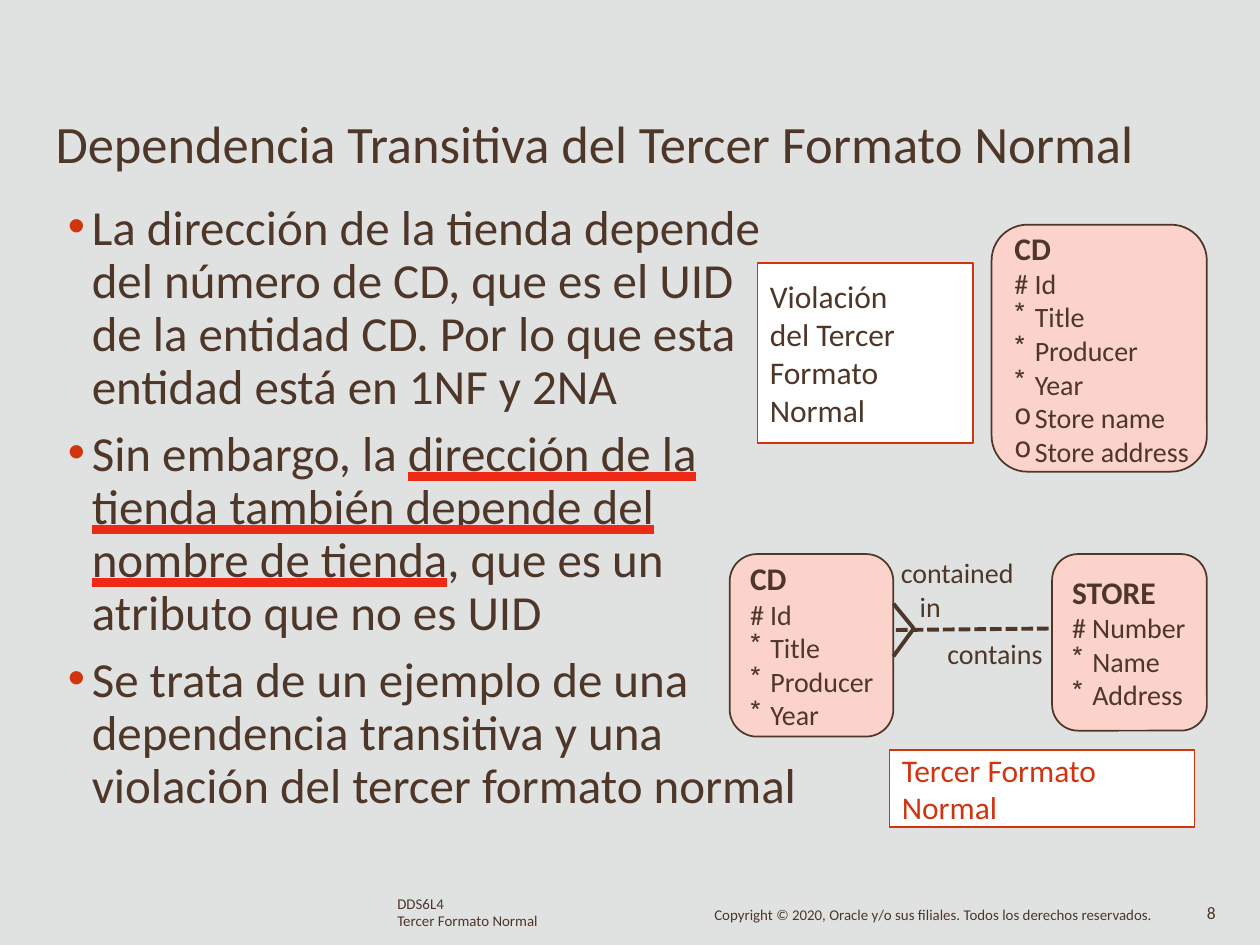
from lxml.etree import SubElement
from pptx import Presentation
from pptx.dml.color import RGBColor
from pptx.enum.dml import MSO_LINE
from pptx.enum.shapes import MSO_CONNECTOR, MSO_SHAPE
from pptx.enum.text import MSO_ANCHOR, MSO_AUTO_SIZE, MSO_UNDERLINE, PP_ALIGN
from pptx.oxml.ns import qn
from pptx.util import Cm, Pt

BROWN = RGBColor(0x4E, 0x36, 0x29)
RED = RGBColor(0xD1, 0x35, 0x0F)
UNDERLINE_RED = RGBColor(0xEE, 0x2A, 0x17)
PINK = RGBColor(0xFB, 0xD3, 0xCA)
WHITE = RGBColor(0xFF, 0xFF, 0xFF)
GREY = RGBColor(0xE0, 0xE2, 0xE1)
FONT = "Calibri"

TITLE = "Dependencia Transitiva del Tercer Formato Normal"
POINTS = [
    ["La dirección de la tienda depende", "del número de CD, que es el UID",
     "de la entidad CD. Por lo que esta", "entidad está en 1NF y 2NA"],
    ["Sin embargo, la _dirección de la_", "_tienda también depende del_",
     "_nombre de tienda_, que es un", "atributo que no es UID"],
    ["Se trata de un ejemplo de una", "dependencia transitiva y una",
     "violación del tercer formato normal"],
]
CD_FIELDS = [("#", "Id"), ("*", "Title"), ("*", "Producer"), ("*", "Year")]
STORE_FIELDS = [("#", "Number"), ("*", "Name"), ("*", "Address")]
EXTRA_FIELDS = [("o", "Store name"), ("o", "Store address")]
ENTITY_INSET = 0.25
ENTITIES = [
    ("CD", CD_FIELDS + EXTRA_FIELDS, (19.99, 4.53, 4.34, 4.98)),
    ("CD", CD_FIELDS, (14.71, 11.17, 3.3, 3.68)),
    ("STORE", STORE_FIELDS, (21.21, 11.17, 3.12, 3.56)),
]
CALLOUTS = [
    (["Violación", "del Tercer", "Formato", "Normal"], (15.27, 5.3, 4.34, 3.63), BROWN),
    (["Tercer Formato", "Normal"], (17.93, 15.12, 6.15, 1.55), RED),
]
CROW_TIP = (18.42, 12.67)
RELATION = [
    ((18.06, 12.7), (21.16, 12.67), True),
    ((18.01, 13.23), CROW_TIP, False),
    ((18.01, 12.17), CROW_TIP, False),
]
LABELS = [
    (["contained in"], (18.16, 11.2, 2.34, 1.42), 16, None, 0.38),
    (["contains"], (19.1, 12.83, 2.1, 0.74), 16, None, 0),
    (["DDS6L4", "Tercer Formato Normal"], (8.01, 18.06, 3.2, 0.69), 8.5, 9.7, 0),
    (["Copyright © 2020, Oracle y/o sus filiales. Todos los derechos reservados."],
     (14.4, 18.3, 9.1, 0.38), 8.5, 9.1, 0),
    (["8"], (24.33, 18.24, 0.4, 0.43), 10, 10.4, 0),
]


def place(shape, box):
    shape.left, shape.top, shape.width, shape.height = map(Cm, box)


def prepare(shape, anchor=MSO_ANCHOR.TOP, left=0):
    frame = shape.text_frame
    frame.auto_size = MSO_AUTO_SIZE.NONE
    frame.word_wrap = True
    frame.vertical_anchor = anchor
    frame.margin_left = Cm(left)
    frame.margin_top = frame.margin_right = frame.margin_bottom = 0
    return frame


def paragraphs(frame, count):
    return [frame.paragraphs[0]] + [frame.add_paragraph() for _ in range(count - 1)]


def style(paragraph, size, color=BROWN, bold=False):
    paragraph.alignment = PP_ALIGN.LEFT
    font = paragraph.font
    font.name, font.size, font.bold = FONT, Pt(size), bold
    font.color.rgb = color


def hang(paragraph, indent):
    properties = paragraph._p.get_or_add_pPr()
    properties.set("marL", str(Cm(indent)))
    properties.set("indent", str(-Cm(indent)))
    return properties


def add_bullet(paragraph, character, indent, color):
    properties = hang(paragraph, indent)
    SubElement(SubElement(properties, qn("a:buClr")), qn("a:srgbClr"), val=str(color))
    SubElement(properties, qn("a:buChar"), char=character)


def underline(run):
    run.font.underline = MSO_UNDERLINE.HEAVY_LINE
    fill = SubElement(SubElement(run._r.get_or_add_rPr(), qn("a:uFill")), qn("a:solidFill"))
    SubElement(fill, qn("a:srgbClr"), val=str(UNDERLINE_RED))


def add_box(slide, kind, box, fill, line):
    shape = slide.shapes.add_shape(kind, *map(Cm, box))
    shape.shadow.inherit = False
    shape.fill.solid()
    shape.fill.fore_color.rgb = fill
    shape.line.color.rgb = line
    shape.line.width = Pt(1)
    return shape


def add_points(body):
    place(body, (1.37, 4.08, 14.9, 12.4))
    for index, (paragraph, lines) in enumerate(zip(paragraphs(prepare(body), len(POINTS)), POINTS)):
        add_bullet(paragraph, "•", 0.48, RED)
        paragraph.line_spacing = Pt(30.3)
        paragraph.space_before = Pt(7.8 if index else 0)
        style(paragraph, 28)
        for number, line in enumerate(lines):
            if number:
                paragraph.add_line_break()
            for part, text in enumerate(line.split("_")):
                if text:
                    run = paragraph.add_run()
                    run.text = text
                    if part % 2:
                        underline(run)


def add_entity(slide, name, fields, box):
    shape = add_box(slide, MSO_SHAPE.ROUNDED_RECTANGLE, box, PINK, BROWN)
    frame = prepare(shape, MSO_ANCHOR.MIDDLE, ENTITY_INSET)
    heading, *rows = paragraphs(frame, len(fields) + 1)
    heading.text = name
    style(heading, 18, bold=True)
    for row, (mark, field) in zip(rows, fields):
        row.text = field if mark != "#" else f"# {field}"
        if mark != "#":
            add_bullet(row, mark, 0.41, BROWN)
        style(row, 16)


def add_line(slide, start, end, dashed):
    line = slide.shapes.add_connector(MSO_CONNECTOR.STRAIGHT, *map(Cm, start + end))
    line.line.color.rgb = BROWN
    line.line.width = Pt(2.25)
    if dashed:
        line.line.dash_style = MSO_LINE.SQUARE_DOT
    SubElement(line._element.spPr, qn("a:effectLst"))


def main():
    presentation = Presentation()
    presentation.slide_width, presentation.slide_height = Cm(25.4), Cm(19.05)
    slide = presentation.slides.add_slide(presentation.slide_layouts[1])
    slide.background.fill.solid()
    slide.background.fill.fore_color.rgb = GREY

    title, body = slide.placeholders
    place(title, (1.12, 2.23, 22, 1.35))
    prepare(title).text = TITLE
    style(title.text_frame.paragraphs[0], 30)
    add_points(body)

    for entity in ENTITIES:
        add_entity(slide, *entity)
    for segment in RELATION:
        add_line(slide, *segment)
    for lines, box, color in CALLOUTS:
        shape = add_box(slide, MSO_SHAPE.RECTANGLE, box, WHITE, RED)
        paragraph = prepare(shape, MSO_ANCHOR.MIDDLE, 0.25).paragraphs[0]
        paragraph.text = "\v".join(lines)
        style(paragraph, 18, color)
    for lines, box, size, spacing, indent in LABELS:
        frame = prepare(slide.shapes.add_textbox(*map(Cm, box)))
        for paragraph, text in zip(paragraphs(frame, len(lines)), lines):
            paragraph.text = text
            hang(paragraph, indent)
            if spacing:
                paragraph.line_spacing = Pt(spacing)
            style(paragraph, size)

    presentation.save("out.pptx")


if __name__ == "__main__":
    main()
